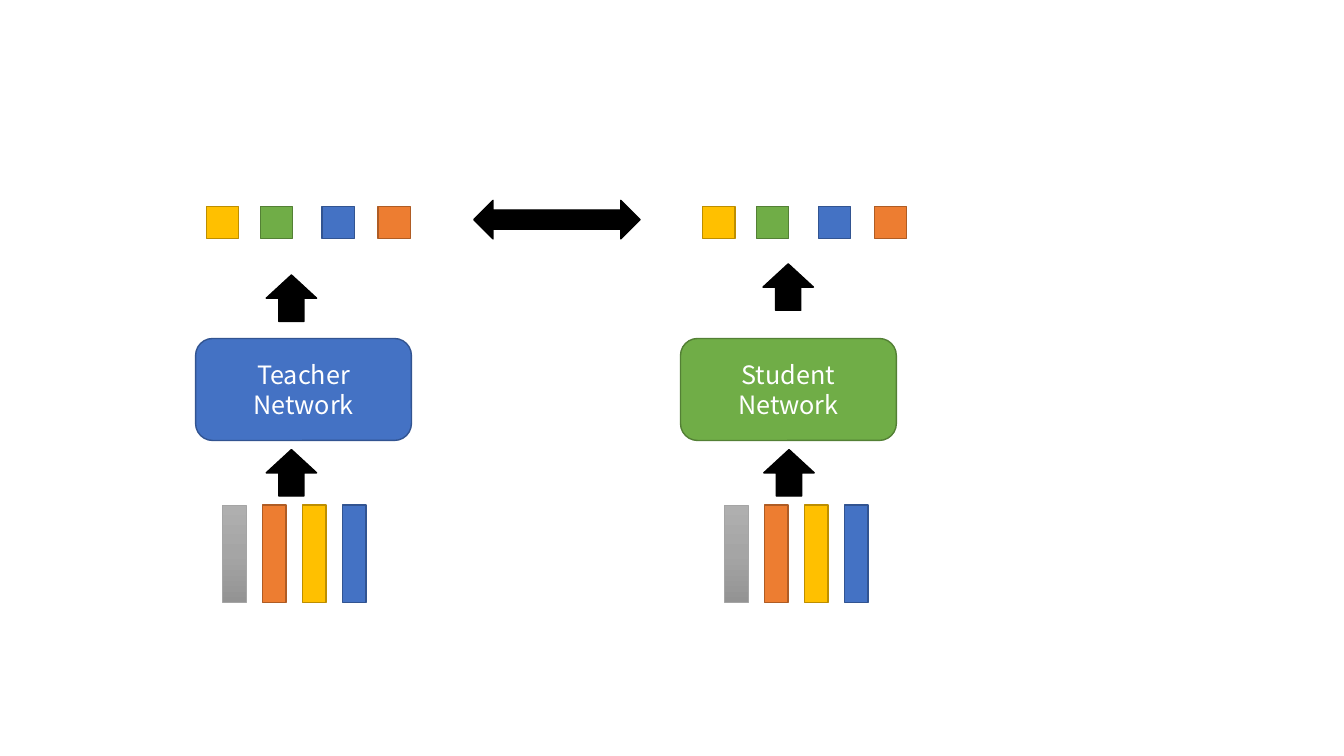
import copy
from dataclasses import dataclass

import pptx
import pptx.dml.color
import pptx.enum.shapes
import pptx.enum.text
import pptx.oxml.ns
import pptx.util

Cm = pptx.util.Cm
Pt = pptx.util.Pt
Preset = pptx.enum.shapes.MSO_SHAPE

FONT = "Noto Sans CJK SC"
FILLS = {"blue": "4472C4", "green": "70AD47", "orange": "ED7D31",
         "yellow": "FFC000", "black": "000000", "white": "FFFFFF"}
LINES = {"blue": "325491", "green": "538035", "orange": "AF5C24",
         "yellow": "BD8E00", "black": "000000", "gray": "A5A5A5"}
GRAY_STOPS = {0: "AFAFAF", 0.5: "A5A5A5", 1: "939393"}

# Shared layout, in centimetres
BAR_COLORS = ("gray", "orange", "yellow", "blue")
BAR_STEP = 1.01
OUTPUT_COLORS = ("yellow", "green", "blue", "orange")
OUTPUT_OFFSETS = (0, 1.36, 2.92, 4.33)
OUTPUT_SIZE = 0.81


@dataclass
class Box:
    left: float
    top: float
    width: float
    height: float


@dataclass
class Network:
    label: str
    color: str
    left: float
    bars_left: float
    input_arrow_left: float
    output_arrow_left: float
    output_arrow_top: float
    outputs_left: float


NETWORKS = (
    Network("Teacher\nNetwork", "blue", 4.93, 5.61, 6.71, 6.71, 6.93, 5.2),
    Network("Student\nNetwork", "green", 17.15, 18.26, 19.25, 19.23, 6.65, 17.71),
)


def rgb(value: str) -> pptx.dml.color.RGBColor:
    return pptx.dml.color.RGBColor.from_string(value)


def fill_gray_gradient(shape) -> None:
    shape.fill.gradient()
    shape.fill.gradient_angle = 270
    stop_list = shape._element.spPr.find(".//" + pptx.oxml.ns.qn("a:gsLst"))
    stop_list.insert(1, copy.deepcopy(stop_list[0]))
    for stop, (position, color) in zip(shape.fill.gradient_stops, GRAY_STOPS.items()):
        stop.position = position
        stop.color.rgb = rgb(color)


def draw_shape(slide, preset: Preset, box: Box, color: str):
    shape = slide.shapes.add_shape(
        preset, Cm(box.left), Cm(box.top), Cm(box.width), Cm(box.height))
    shape.shadow.inherit = False
    if color == "gray":
        fill_gray_gradient(shape)
    else:
        shape.fill.solid()
        shape.fill.fore_color.rgb = rgb(FILLS[color])
    shape.line.color.rgb = rgb(LINES[color])
    shape.line.width = Pt(0.5 if color == "gray" else 1)
    return shape


def write_label(shape, label: str) -> None:
    text_frame = shape.text_frame
    text_frame.text = label
    text_frame.word_wrap = True
    text_frame.vertical_anchor = pptx.enum.text.MSO_ANCHOR.MIDDLE
    for paragraph in text_frame.paragraphs:
        paragraph.alignment = pptx.enum.text.PP_ALIGN.CENTER
        for run in paragraph.runs:
            run.font.name = FONT
            run.font.size = Pt(18)
            run.font.color.rgb = rgb(FILLS["white"])


def draw_network(slide, network: Network) -> None:
    # Network block
    block = draw_shape(slide, Preset.ROUNDED_RECTANGLE,
                       Box(network.left, 8.53, 5.44, 2.57), network.color)
    write_label(block, network.label)

    # Input bars
    for index, color in enumerate(BAR_COLORS):
        left = network.bars_left + index * BAR_STEP
        draw_shape(slide, Preset.RECTANGLE, Box(left, 12.73, 0.59, 2.46), color)

    # Arrows into and out of the block
    for left, top in ((network.input_arrow_left, 11.33),
                      (network.output_arrow_left, network.output_arrow_top)):
        draw_shape(slide, Preset.UP_ARROW, Box(left, top, 1.27, 1.17), "black")

    # Output squares
    for offset, color in zip(OUTPUT_OFFSETS, OUTPUT_COLORS):
        square = Box(network.outputs_left + offset, 5.2, OUTPUT_SIZE, OUTPUT_SIZE)
        draw_shape(slide, Preset.RECTANGLE, square, color)


presentation = pptx.Presentation()
presentation.slide_width = Cm(33.87)
presentation.slide_height = Cm(19.05)
slide = presentation.slides.add_slide(presentation.slide_layouts[6])

for network in NETWORKS:
    draw_network(slide, network)

# Comparison of the two outputs
draw_shape(slide, Preset.LEFT_RIGHT_ARROW, Box(11.94, 5.05, 4.19, 0.97), "black")

presentation.save("out.pptx")
